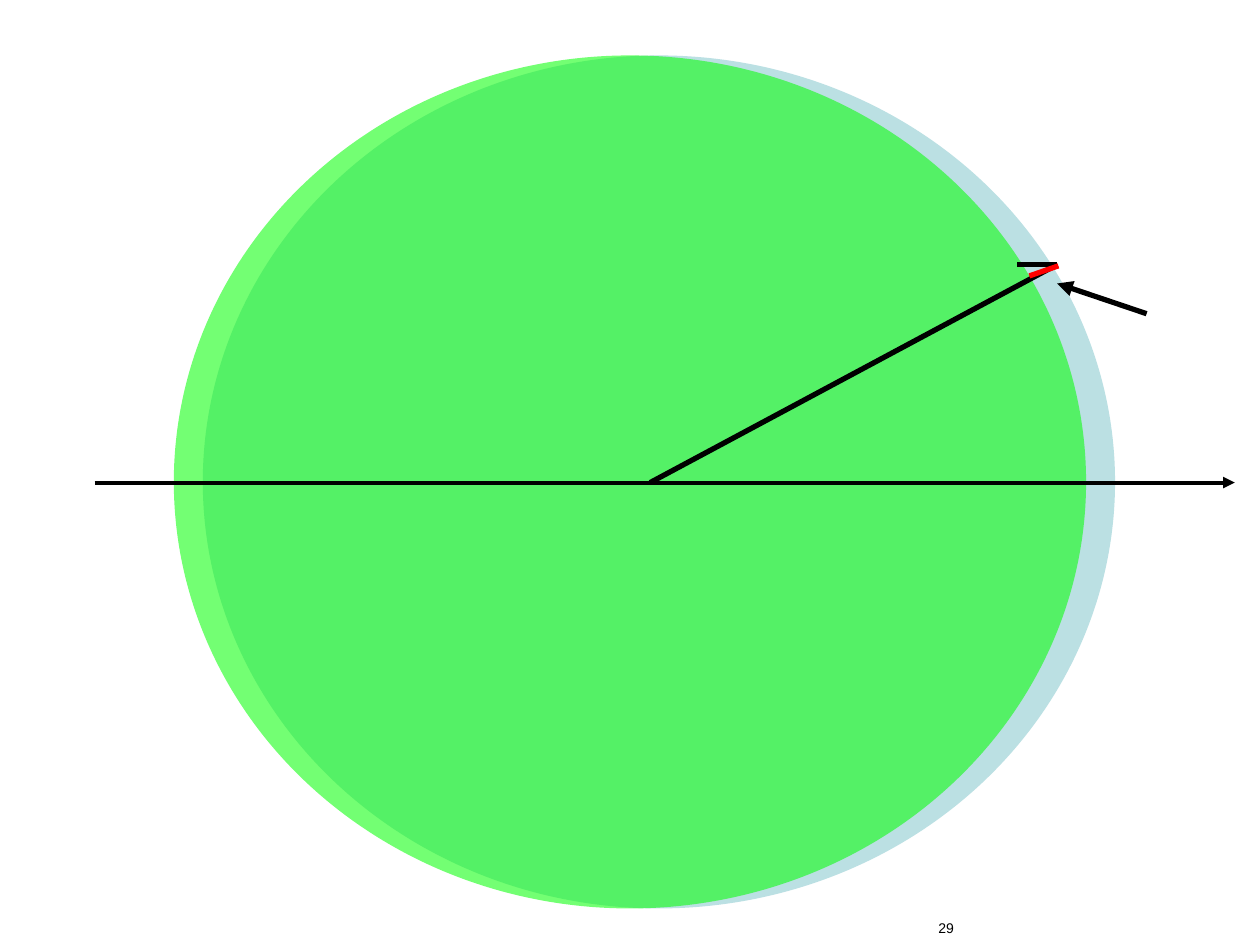
from lxml import etree
from pptx import Presentation
from pptx.dml.color import RGBColor
from pptx.enum.shapes import MSO_CONNECTOR, MSO_SHAPE
from pptx.enum.text import MSO_ANCHOR, PP_ALIGN
from pptx.oxml.ns import qn
from pptx.util import Emu, Pt

STRAIGHT = MSO_CONNECTOR.STRAIGHT
OVAL = MSO_SHAPE.OVAL
TOP = MSO_ANCHOR.TOP
RIGHT = PP_ALIGN.RIGHT

SCALE = 9144  # EMU per px, 100 px to the inch

BLACK = RGBColor(0x00, 0x00, 0x00)
RED = RGBColor(0xFF, 0x00, 0x00)
GREEN = RGBColor(0x00, 0xFF, 0x00)
PALE_BLUE = RGBColor(0xBB, 0xE0, 0xE3)

DISC_TOP, DISC_WIDTH, DISC_HEIGHT = 44, 724, 677
AXIS_Y = 383
RIM_POINT = (839, 210)
NUMBER_FORMAT = {"name": "Arial", "size": Pt(8)}


def px(value):
    return Emu(value * SCALE)


def add_disc(slide, left, color, opacity=None):
    shape = slide.shapes.add_shape(
        OVAL, px(left), px(DISC_TOP), px(DISC_WIDTH), px(DISC_HEIGHT))
    shape.shadow.inherit = False
    shape.fill.solid()
    shape.fill.fore_color.rgb = color
    shape.line.fill.background()
    if opacity is not None:
        color_element = shape.fill._xPr.find(".//" + qn("a:srgbClr"))
        etree.SubElement(color_element, qn("a:alpha"), val=str(opacity * 1000))


def add_line(slide, start, end, color=BLACK, width=3, arrow=False):
    connector = slide.shapes.add_connector(
        STRAIGHT, *(px(value) for value in (*start, *end)))
    connector.line.color.rgb = color
    connector.line.width = Pt(width)
    if arrow:
        etree.SubElement(connector.line._get_or_add_ln(), qn("a:tailEnd"),
                         type="triangle")
    etree.SubElement(connector._element.spPr, qn("a:effectLst"))


def add_page_number(slide, text, left, top, width, height):
    box = slide.shapes.add_textbox(px(left), px(top), px(width), px(height))
    frame = box.text_frame
    frame.word_wrap = True
    frame.vertical_anchor = TOP
    paragraph = frame.paragraphs[0]
    paragraph.alignment = RIGHT
    run = paragraph.add_run()
    run.text = text
    for name, value in NUMBER_FORMAT.items():
        setattr(run.font, name, value)
    run.font.color.rgb = BLACK


def main():
    presentation = Presentation()
    presentation.slide_width = px(1000)
    presentation.slide_height = px(750)
    slide = presentation.slides.add_slide(presentation.slide_layouts[6])

    add_page_number(slide, "29", 675, 725, 92, 25)

    # Two overlapping discs, the front one shifted left
    add_disc(slide, 161, PALE_BLUE)
    add_disc(slide, 138, GREEN, opacity=55)

    # Horizontal axis
    add_line(slide, (75, AXIS_Y), (980, AXIS_Y), width=2.25, arrow=True)

    # Shift at the rim, radius, and pointer to the gap
    add_line(slide, RIM_POINT, (807, 210))
    add_line(slide, RIM_POINT, (516, AXIS_Y))
    add_line(slide, (910, 249), (839, 225), arrow=True)

    # Gap between the two rims
    add_line(slide, (817, 219), (840, 211), color=RED)

    presentation.save("out.pptx")


if __name__ == "__main__":
    main()
